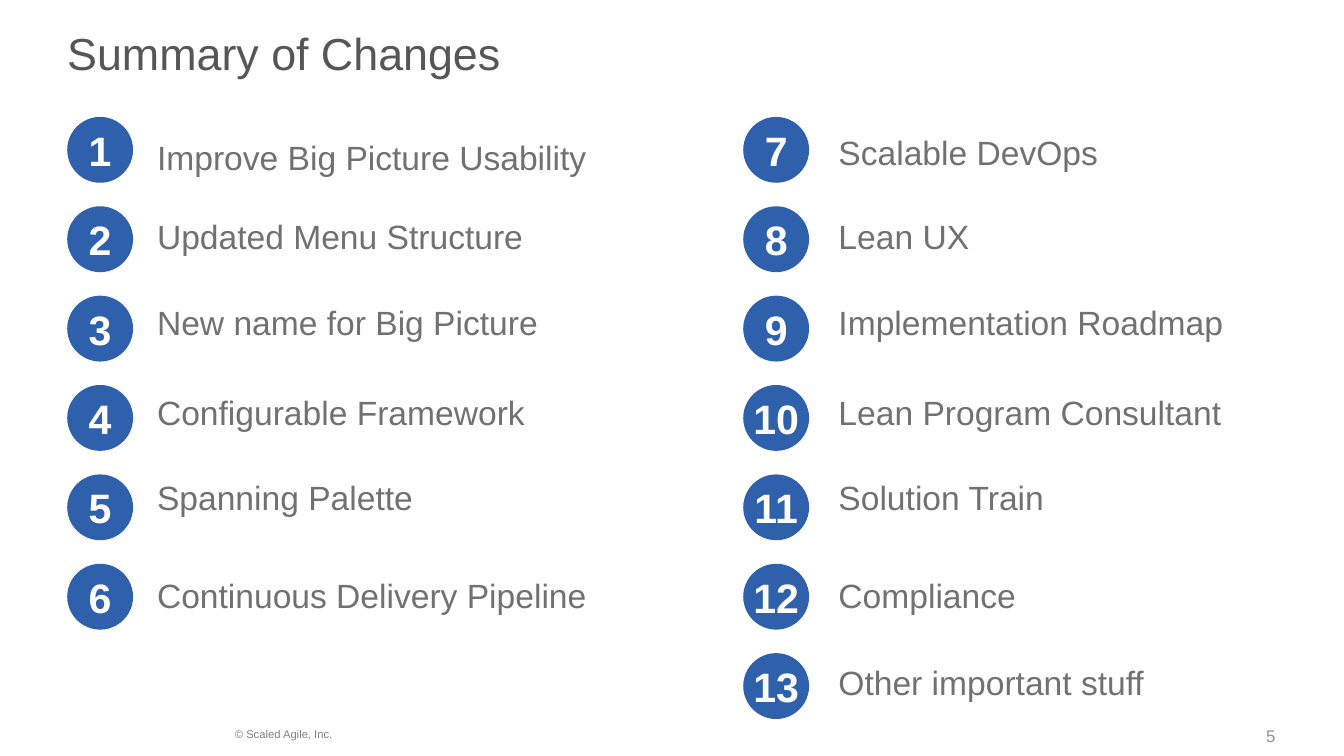
from dataclasses import dataclass

from pptx import Presentation
from pptx import util as u
from pptx.dml.color import RGBColor
from pptx.enum import shapes, text

WIDTH = 10
HEIGHT = WIDTH * 9 / 16
COLORS = {"title": "565656", "body": "717171", "blue": "2F60AC",
          "white": "FFFFFF", "copyright": "808080", "page": "919191"}

# Grid: two columns of numbered badges, one row per change
BADGE = 0.49
ROW_TOP, LAST_ROW_TOP, ROWS = 0.87, 4.86, 7
ROW_PITCH = (LAST_ROW_TOP - ROW_TOP) / (ROWS - 1)
BADGE_LEFTS = (0.5, 5.53)
LABEL_LEFTS = (1.07, 6.14)
LABEL_WIDTHS = (4.38, 3.72)
LABEL_SHIFTS = (0.06, 0.02, 0, 0, -0.03, 0.03, 0.02)  # label top from badge top
PADDING = (0.1, 0.05, 0.1, 0.05)


@dataclass
class Change:
    number: int
    label: str
    column: int
    row: int
    nudge: float = 0


CHANGES = [
    Change(1, "Improve Big Picture Usability", 0, 0, 0.04),
    Change(2, "Updated Menu Structure", 0, 1),
    Change(3, "New name for Big Picture", 0, 2),
    Change(4, "Configurable Framework", 0, 3),
    Change(5, "Spanning Palette", 0, 4),
    Change(6, "Continuous Delivery Pipeline", 0, 5),
    Change(7, "Scalable DevOps", 1, 0),
    Change(8, "Lean UX", 1, 1),
    Change(9, "Implementation Roadmap", 1, 2),
    Change(10, "Lean Program Consultant", 1, 3),
    Change(11, "Solution Train", 1, 4),
    Change(12, "Compliance", 1, 5),
    Change(13, "Other important stuff", 1, 6),
]


def write(sp, words: str, size: float, color: str, bold: bool = False,
          align=text.PP_ALIGN.LEFT, anchor=text.MSO_ANCHOR.TOP,
          insets: tuple = (0, 0, 0, 0)) -> None:
    tf = sp.text_frame
    frame = {"word_wrap": True, "vertical_anchor": anchor}
    sides = ("margin_left", "margin_top", "margin_right", "margin_bottom")
    frame.update(zip(sides, map(u.Inches, insets)))
    for name, value in frame.items():
        setattr(tf, name, value)
    p = tf.paragraphs[0]
    p.alignment = align
    r = p.add_run()
    r.text = words
    for name, value in {"name": "Arial", "size": u.Pt(size), "bold": bold}.items():
        setattr(r.font, name, value)
    r.font.color.rgb = RGBColor.from_string(COLORS[color])


def add_text(s, box: tuple, words: str, size: float, color: str, **style) -> None:
    sp = s.shapes.add_textbox(*map(u.Inches, box))
    write(sp, words, size, color, **style)


def add_badge(s, left: float, top: float, number: int) -> None:
    sp = s.shapes.add_shape(shapes.MSO_SHAPE.OVAL,
                            *map(u.Inches, (left, top, BADGE, BADGE)))
    sp.shadow.inherit = False
    sp.fill.solid()
    sp.fill.fore_color.rgb = RGBColor.from_string(COLORS["blue"])
    sp.line.fill.background()
    write(sp, str(number), 22, "white", bold=True,
          align=text.PP_ALIGN.CENTER, anchor=text.MSO_ANCHOR.MIDDLE)


def add_change(s, change: Change) -> None:
    col, top = change.column, ROW_TOP + change.row * ROW_PITCH
    add_badge(s, BADGE_LEFTS[col], top, change.number)
    label_top = top + LABEL_SHIFTS[change.row] + change.nudge
    add_text(s, (LABEL_LEFTS[col], label_top, LABEL_WIDTHS[col], 0.4),
             change.label, 18, "body", insets=PADDING)


def main() -> None:
    prs = Presentation()
    prs.slide_width, prs.slide_height = u.Inches(WIDTH), u.Inches(HEIGHT)
    s = prs.slides.add_slide(prs.slide_layouts[6])

    # Title
    add_text(s, (0.5, 0.19, 9.11, 0.33), "Summary of Changes", 24, "title")

    # Numbered changes
    for change in CHANGES:
        add_change(s, change)

    # Footer
    add_text(s, (1.65, 5.36, 2.07, 0.2), "© Scaled Agile, Inc.", 6, "copyright",
             insets=PADDING)
    add_text(s, (8.77, 5.25, 0.72, 0.3), "5", 9, "page",
             align=text.PP_ALIGN.RIGHT, anchor=text.MSO_ANCHOR.BOTTOM)

    prs.save("out.pptx")


if __name__ == "__main__":
    main()
